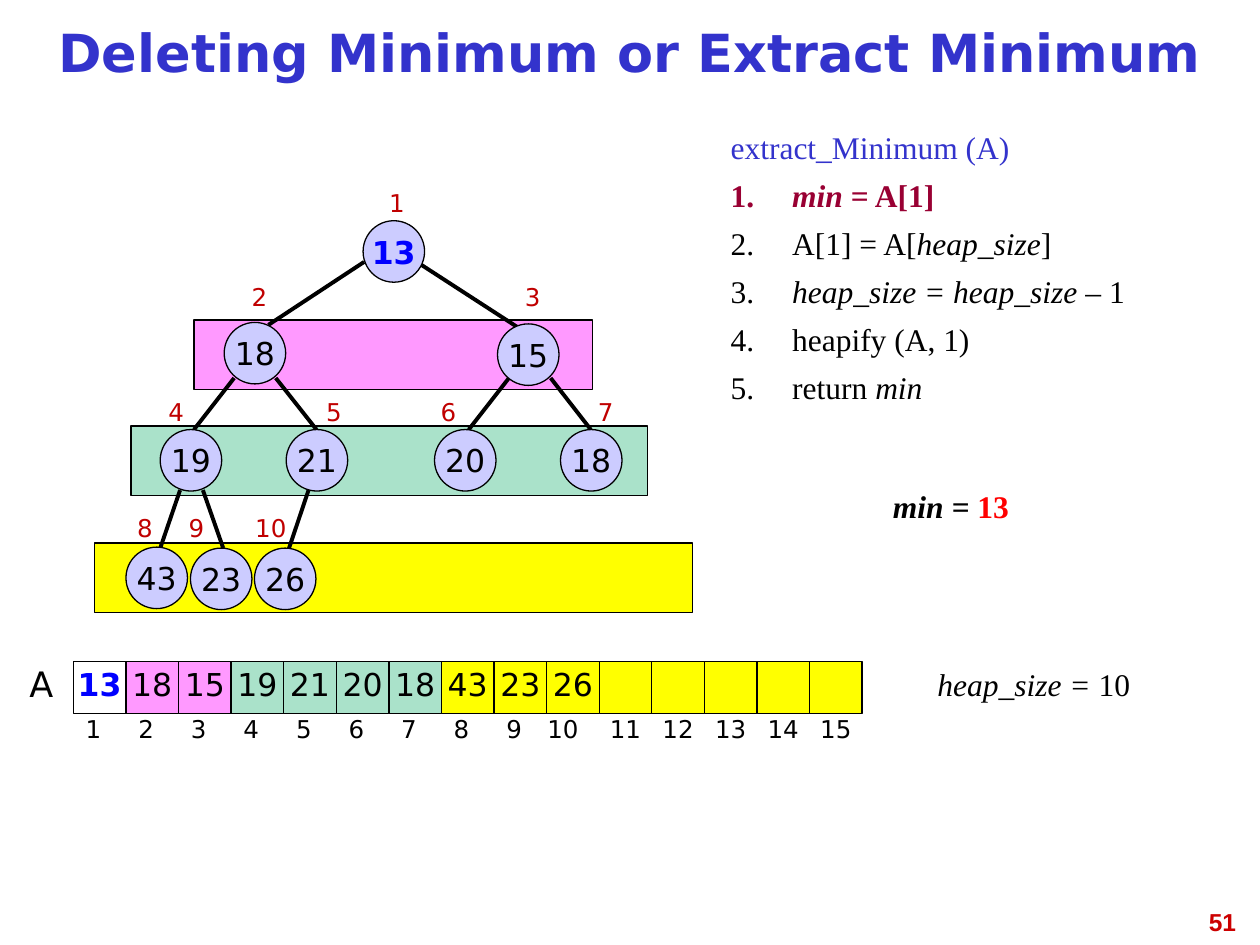
from lxml import etree
from pptx import Presentation
from pptx.dml.color import RGBColor
from pptx.enum.shapes import MSO_CONNECTOR, MSO_SHAPE
from pptx.enum.text import MSO_ANCHOR, PP_ALIGN
from pptx.oxml.ns import qn
from pptx.util import Cm, Pt

STRAIGHT = MSO_CONNECTOR.STRAIGHT
OVAL, RECTANGLE = MSO_SHAPE.OVAL, MSO_SHAPE.RECTANGLE
TOP, MIDDLE = MSO_ANCHOR.TOP, MSO_ANCHOR.MIDDLE
CENTER, RIGHT, JUSTIFY = PP_ALIGN.CENTER, PP_ALIGN.RIGHT, PP_ALIGN.JUSTIFY

BLACK = RGBColor(0x00, 0x00, 0x00)
WHITE = RGBColor(0xFF, 0xFF, 0xFF)
INDIGO = RGBColor(0x33, 0x33, 0xCC)
BLUE = RGBColor(0x00, 0x00, 0xFF)
RED = RGBColor(0xFF, 0x00, 0x00)
DARK_RED = RGBColor(0xC0, 0x00, 0x00)
PAGE_RED = RGBColor(0xCC, 0x00, 0x00)
CRIMSON = RGBColor(0x99, 0x00, 0x33)
LAVENDER = RGBColor(0xCC, 0xCC, 0xFF)
PINK = RGBColor(0xFF, 0x99, 0xFF)
MINT = RGBColor(0xAA, 0xE2, 0xCA)
YELLOW = RGBColor(0xFF, 0xFF, 0x00)

SANS, SERIF = "DejaVu Sans", "Times New Roman"
LEVEL_FILLS = [WHITE, PINK, MINT, YELLOW]
TIGHT = 0.81
NODE = 1.24
CELL = 1.06
BAND_HEIGHT = 1.4
ARRAY_LEFT, ARRAY_TOP, INDEX_TOP = 1.48, 13.33, 14.22
ARRAY_SIZE = 15
INDEX_SHIFT = {10: -0.2}

HEAP = [13, 18, 15, 19, 21, 20, 18, 43, 23, 26]
NODE_PLACES = [
    (7.32, 4.45), (4.52, 6.5), (10.03, 6.53),
    (3.23, 8.66), (5.77, 8.66), (8.76, 8.66), (11.3, 8.66),
    (2.54, 11.03), (3.84, 11.05), (5.13, 11.05),
]
LABEL_PLACES = [
    (7.47, 3.61), (4.7, 5.51), (10.21, 5.51),
    (3.02, 7.82), (6.2, 7.82), (8.51, 7.82), (11.68, 7.82),
    (2.39, 10.16), (3.43, 10.16), (4.93, 10.16),
]
EDGES = [
    (7.34, 5.28, 5.41, 6.55), (8.48, 5.33, 10.44, 6.6),
    (4.72, 7.62, 3.91, 8.66), (5.56, 7.62, 6.38, 8.66),
    (10.26, 7.62, 9.45, 8.66), (11.1, 7.62, 11.91, 8.66),
    (3.63, 9.88, 3.23, 11.05), (4.09, 9.88, 4.5, 11.05),
    (6.22, 9.88, 5.82, 11.07),
]
BANDS = [(1.9, 10.95, 12.06, YELLOW), (2.64, 8.59, 10.41, MINT), (3.91, 6.45, 8.03, PINK)]
CODE = [
    (INDIGO, False, [("extract_Minimum (A)", False)]),
    (CRIMSON, True, [("1.\t", False), ("min ", True), ("= A[1]", False)]),
    (BLACK, False, [("2.\tA[1] = A[", False), ("heap_size", True), ("]", False)]),
    (BLACK, False, [("3.\t", False), ("heap_size = heap_size ", True), ("– 1", False)]),
    (BLACK, False, [("4.\theapify (A, 1)", False)]),
    (BLACK, False, [("5.\treturn ", False), ("min", True)]),
]


def style_run(run, size, font, color, bold=False, italic=False):
    run.font.size = Pt(size)
    run.font.name = font
    run.font.color.rgb = color
    run.font.bold = bold
    run.font.italic = italic


def write_line(frame, text, size, color, font=SANS, bold=False, align=CENTER, spacing=TIGHT):
    frame.text = text
    line = frame.paragraphs[0]
    line.alignment = align
    line.line_spacing = spacing
    style_run(line.runs[0], size, font, color, bold)


def add_frame(slide, left, top, width, height, anchor=MIDDLE, wrap=False):
    frame = slide.shapes.add_textbox(Cm(left), Cm(top), Cm(width), Cm(height)).text_frame
    frame.word_wrap = wrap
    frame.vertical_anchor = anchor
    return frame


def add_number(slide, left, top, number, color, right_margin=0):
    frame = add_frame(slide, left, top, CELL, CELL)
    frame.margin_left = 0
    frame.margin_right = Cm(right_margin)
    write_line(frame, str(number), 14, color)


def add_outlined(slide, kind, left, top, width, height, fill):
    shape = slide.shapes.add_shape(kind, Cm(left), Cm(top), Cm(width), Cm(height))
    shape.shadow.inherit = False
    shape.fill.solid()
    shape.fill.fore_color.rgb = fill
    shape.line.color.rgb = BLACK
    shape.line.width = Pt(0.75)
    shape.text_frame.word_wrap = False
    shape.text_frame.vertical_anchor = MIDDLE
    return shape


def add_edge(slide, *ends):
    edge = slide.shapes.add_connector(STRAIGHT, *map(Cm, ends))
    edge.line.color.rgb = BLACK
    edge.line.width = Pt(2.25)
    etree.SubElement(edge._element.spPr, qn("a:effectLst"))


def write_value(shape, position, spacing):
    is_root = position == 1
    write_line(shape.text_frame, str(HEAP[position - 1]), 18,
               BLUE if is_root else BLACK, bold=is_root, spacing=spacing)


def add_tree(slide):
    for left, top, width, fill in BANDS:
        add_outlined(slide, RECTANGLE, left, top, width, BAND_HEIGHT, fill)
    for edge in EDGES:
        add_edge(slide, *edge)
    for position, (left, top) in enumerate(NODE_PLACES, 1):
        node = add_outlined(slide, OVAL, left, top, NODE, NODE, LAVENDER)
        write_value(node, position, 1.0)
    for position, (left, top) in enumerate(LABEL_PLACES, 1):
        add_number(slide, left, top, position, DARK_RED)


def add_array(slide):
    write_line(add_frame(slide, 0.2, ARRAY_TOP, 1.27, CELL), "A", 20, BLACK)
    for position in range(1, ARRAY_SIZE + 1):
        left = ARRAY_LEFT + (position - 1) * CELL
        fill = LEVEL_FILLS[position.bit_length() - 1]
        cell = add_outlined(slide, RECTANGLE, left, ARRAY_TOP, CELL, CELL, fill)
        if position <= len(HEAP):
            write_value(cell, position, TIGHT)
        index_left = left + INDEX_SHIFT.get(position, 0)
        right_margin = 0.25 if position < 10 else 0
        add_number(slide, index_left, INDEX_TOP, position, BLACK, right_margin)


def add_code(slide):
    frame = add_frame(slide, 14.48, 2.54, 10.92, 6.35, TOP, True)
    for number, (color, bold, parts) in enumerate(CODE):
        paragraph = frame.add_paragraph() if number else frame.paragraphs[0]
        paragraph.alignment = JUSTIFY
        paragraph.line_spacing = 0.9
        paragraph.space_before = Pt(8)
        properties = paragraph._p.get_or_add_pPr()
        properties.set("marL", str(Cm(1.24)))
        properties.set("indent", str(-Cm(1.24)))
        for text, italic in parts:
            run = paragraph.add_run()
            run.text = text
            style_run(run, 18, SERIF, color, bold, italic)


def add_variable(slide, left, top, name, value, color, bold):
    frame = add_frame(slide, left, top, 5.72, CELL)
    write_line(frame, name, 18, BLACK, SERIF, bold)
    line = frame.paragraphs[0]
    line.runs[0].font.italic = True
    value_run = line.add_run()
    value_run.text = value
    style_run(value_run, 18, SERIF, color, bold)


def main():
    deck = Presentation()
    deck.slide_width, deck.slide_height = Cm(25.4), Cm(19.05)
    slide = deck.slides.add_slide(deck.slide_layouts[6])
    write_line(add_frame(slide, 19.25, 18.16, 5.92, 1.32, TOP, True), "51", 14,
               PAGE_RED, "Arial", True, RIGHT, 1.0)
    write_line(add_frame(slide, 0, 0.2, 25.4, 1.9, wrap=True),
               "Deleting Minimum or Extract Minimum", 30, INDIGO, bold=True)
    add_tree(slide)
    add_array(slide)
    add_code(slide)
    add_variable(slide, 17.98, ARRAY_TOP, "heap_size = ", "10", BLACK, False)
    add_variable(slide, 16.31, 9.73, "min = ", "13", RED, True)
    deck.save("out.pptx")


if __name__ == "__main__":
    main()
